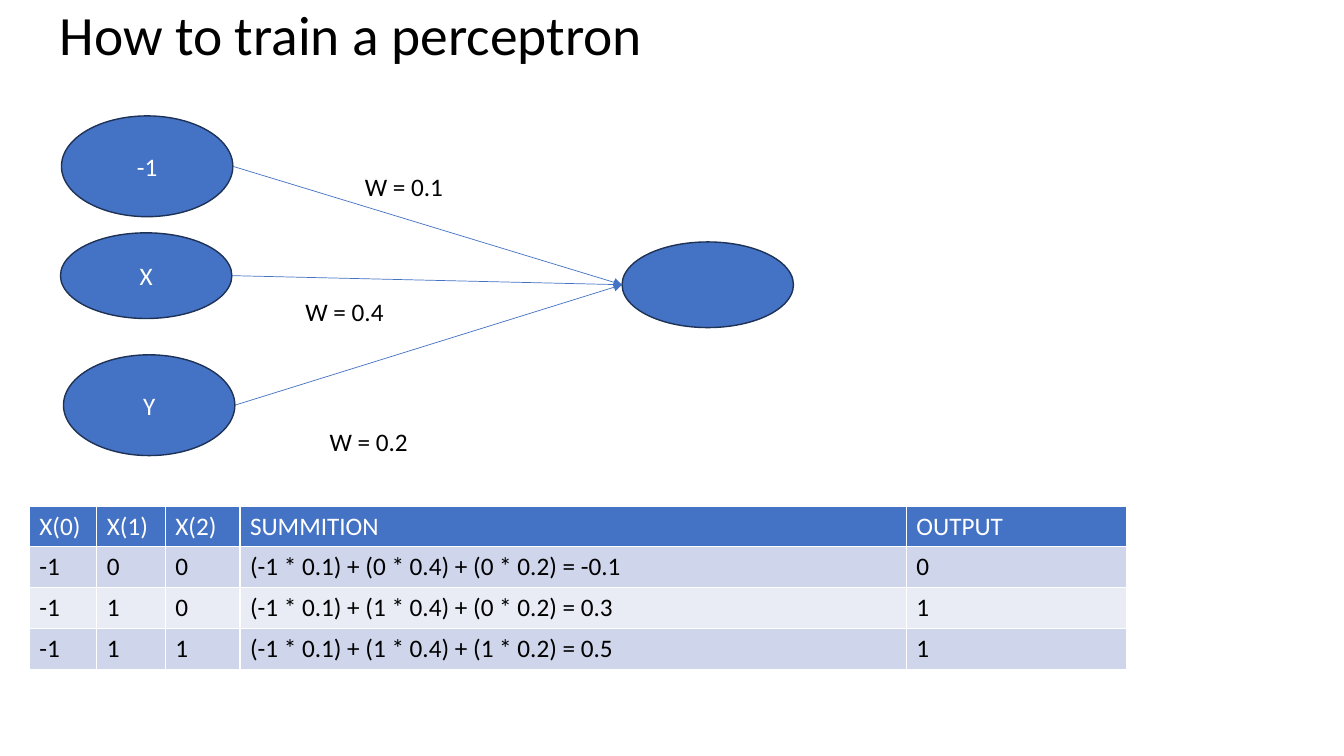
from lxml import etree
from pptx import Presentation
from pptx.dml.color import RGBColor
from pptx.enum.shapes import MSO_CONNECTOR, MSO_SHAPE
from pptx.enum.text import MSO_ANCHOR, MSO_AUTO_SIZE, PP_ALIGN
from pptx.oxml.ns import qn
from pptx.util import Inches, Pt

OVAL = MSO_SHAPE.OVAL
STRAIGHT = MSO_CONNECTOR.STRAIGHT
MIDDLE = MSO_ANCHOR.MIDDLE
FIXED = MSO_AUTO_SIZE.NONE
GROW = MSO_AUTO_SIZE.SHAPE_TO_FIT_TEXT
LEFT, CENTER = PP_ALIGN.LEFT, PP_ALIGN.CENTER

BLUE = RGBColor(0x44, 0x72, 0xC4)
NAVY = RGBColor(0x1E, 0x32, 0x56)
WHITE = RGBColor(0xFF, 0xFF, 0xFF)
BLACK = RGBColor(0, 0, 0)
BANDS = RGBColor(0xCF, 0xD5, 0xEA), RGBColor(0xE9, 0xEB, 0xF5)

BODY = {"name": "Calibri", "size": Pt(18), "bold": False}
HEAD = {**BODY, "size": Pt(39.6)}

NODE = 1.7
INPUTS = [("-1", 0.01, 0, 1), ("Y", 0.03, 2.37, 1), ("X", 0, 1.16, 0.85)]
OUTPUT = ("", 5.57, 1.25, 0.85)
WEIGHTS = [("W = 0.1", 2.92, 0.5, 1.46), ("W = 0.2", 2.57, 3.03, 1.46),
           ("W = 0.4", 2.33, 1.74, 1.59)]

COLS = [0.67, 0.68, 0.74, 6.61, 2.18]
HEADS = ["X(0)", "X(1)", "X(2)", "SUMMITION", "OUTPUT"]
ROWS = [
    ["-1", "0", "0", "(-1 * 0.1) + (0 * 0.4) + (0 * 0.2) = -0.1", "0"],
    ["-1", "1", "0", "(-1 * 0.1) + (1 * 0.4) + (0 * 0.2) = 0.3", "1"],
    ["-1", "1", "1", "(-1 * 0.1) + (1 * 0.4) + (1 * 0.2) = 0.5", "1"],
]


def write(frame, text, color, style=BODY, align=LEFT):
    """Put one styled paragraph in a text frame."""
    line = frame.paragraphs[0]
    line.alignment = align
    run = line.add_run()
    run.text = text
    for key, value in style.items():
        setattr(run.font, key, value)
    run.font.color.rgb = color
    return line


def title(slide, box, text):
    """Place and fill the title placeholder."""
    head = slide.shapes.title
    for key, value in zip(("left", "top", "width", "height"), box):
        setattr(head, key, Inches(value))
    frame = head.text_frame
    for key, value in {"auto_size": FIXED, "vertical_anchor": MIDDLE,
                       "word_wrap": True}.items():
        setattr(frame, key, value)
    write(frame, text, BLACK, HEAD).line_spacing = 0.9


def node(slide, left, top, text, high):
    """Draw one neuron as an ellipse."""
    oval = slide.shapes.add_shape(OVAL, Inches(left), Inches(top),
                                  Inches(NODE), Inches(high))
    oval.shadow.inherit = False
    oval.fill.solid()
    oval.fill.fore_color.rgb = BLUE
    oval.line.color.rgb = NAVY
    oval.line.width = Pt(1)
    oval.text_frame.vertical_anchor = MIDDLE
    if text:
        write(oval.text_frame, text, WHITE, align=CENTER)


def arrow(slide, start, end):
    """Draw a thin arrow between two points."""
    link = slide.shapes.add_connector(STRAIGHT, *map(Inches, start + end))
    link.line.color.rgb = BLUE
    link.line.width = Pt(0.5)
    tail = etree.SubElement(link.line._get_or_add_ln(), qn("a:tailEnd"))
    tail.set("type", "triangle")
    etree.SubElement(link._element.spPr, qn("a:effectLst"))


def network(slide, left, top):
    """Draw the neurons, their links and the weights."""
    for text, x, y, high in INPUTS + [OUTPUT]:
        node(slide, left + x, top + y, text, high)
    _, x, y, high = OUTPUT
    goal = (left + x, top + y + high / 2)
    for _, x, y, high in INPUTS:
        arrow(slide, (left + x + NODE, top + y + high / 2), goal)
    for text, x, y, wide in WEIGHTS:
        label = slide.shapes.add_textbox(Inches(left + x), Inches(top + y),
                                         Inches(wide), Inches(0.4))
        label.text_frame.word_wrap = True
        label.text_frame.auto_size = GROW
        write(label.text_frame, text, BLACK)


def table(slide, box):
    """Fill the table of sums and outputs."""
    data = [HEADS] + ROWS
    grid = slide.shapes.add_table(len(data), len(COLS), *map(Inches, box)).table
    for col, wide in zip(grid.columns, COLS):
        col.width = Inches(wide)
    for r, row in enumerate(data):
        fill, color = (BANDS[(r - 1) % 2], BLACK) if r else (BLUE, WHITE)
        for c, text in enumerate(row):
            cell = grid.cell(r, c)
            cell.fill.solid()
            cell.fill.fore_color.rgb = fill
            write(cell.text_frame, text, color)


def main():
    """Build and save the slide."""
    deck = Presentation()
    deck.slide_width, deck.slide_height = Inches(13.33), Inches(7.5)
    slide = deck.slides.add_slide(deck.slide_layouts[5])
    title(slide, (0.49, 0.11, 10.88, 0.52), "How to train a perceptron")
    table(slide, (0.29, 5.02, sum(COLS), 1.62))
    network(slide, 0.6, 1.15)
    deck.save("out.pptx")


if __name__ == "__main__":
    main()
